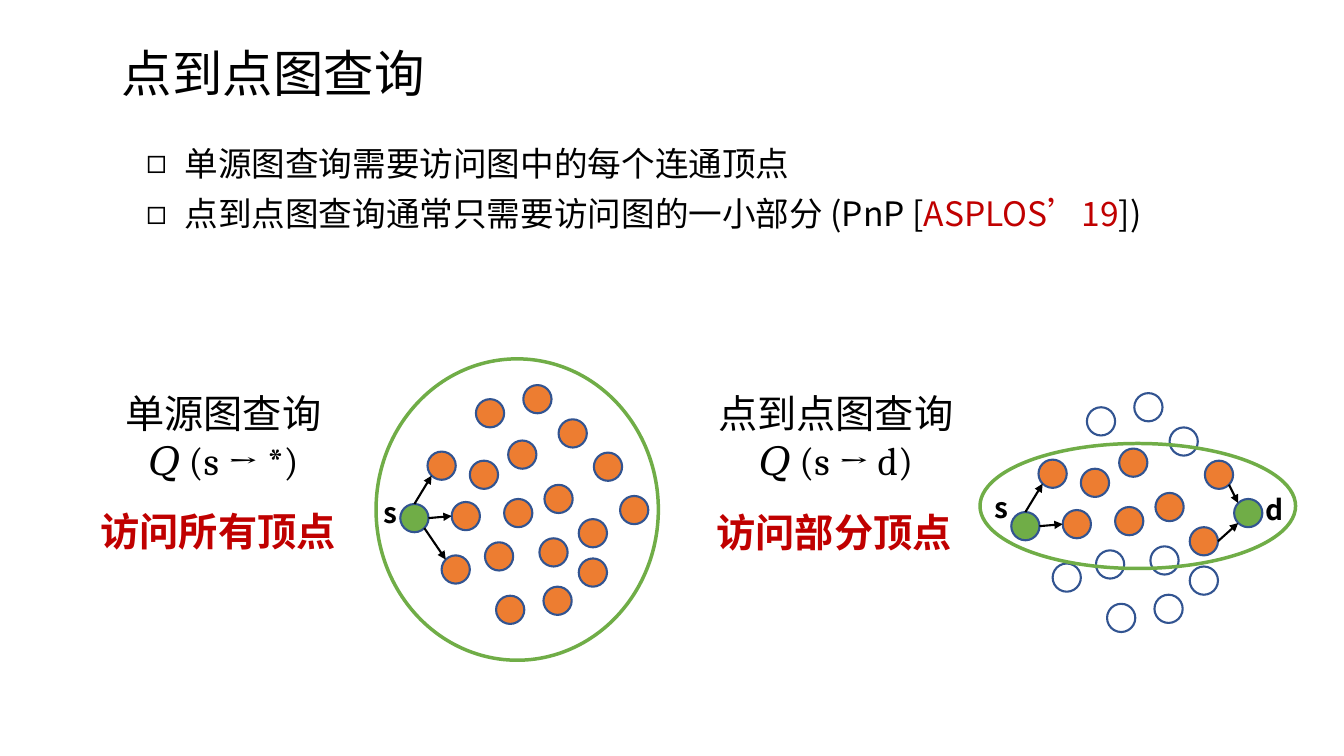
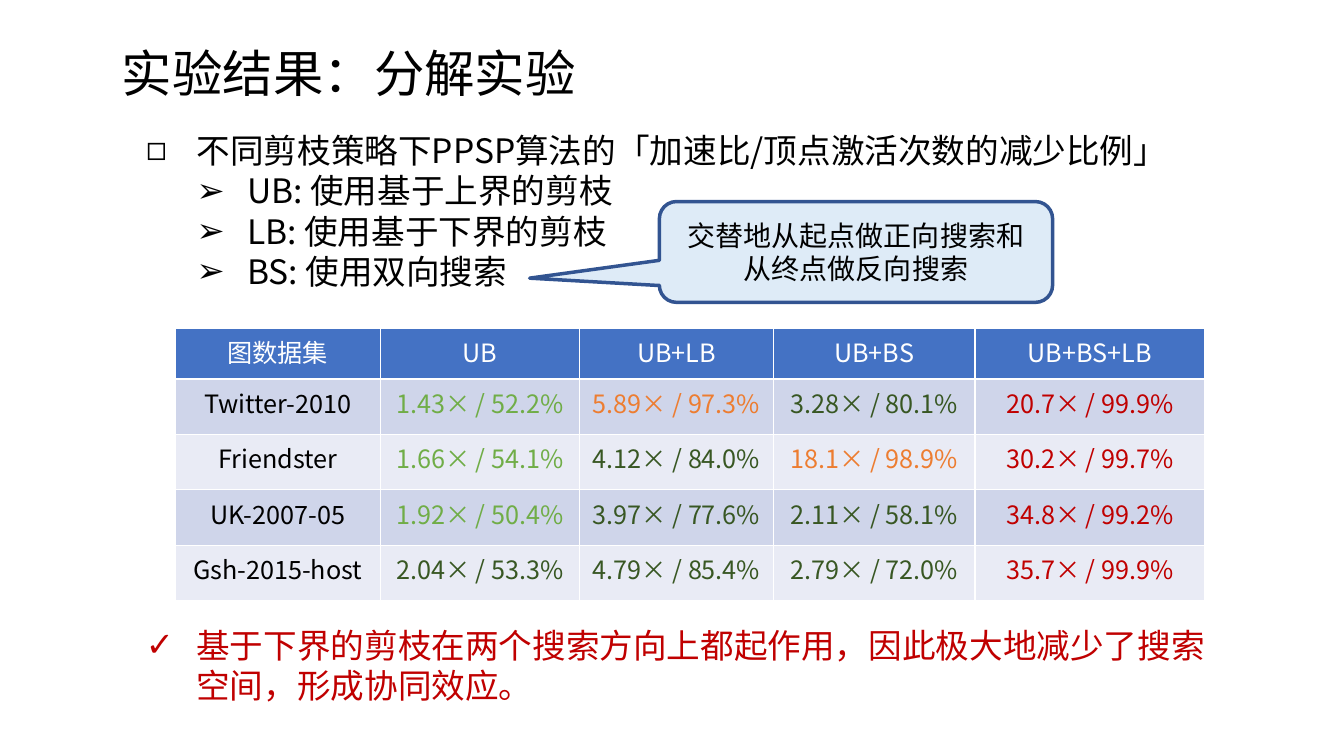
"""Build two slides on point-to-point graph queries and their pruning results."""
from dataclasses import dataclass
from math import cos, radians, sin
from typing import NamedTuple

from lxml.etree import SubElement
from pptx import Presentation
from pptx.dml.color import RGBColor
from pptx.enum.shapes import MSO_CONNECTOR, MSO_SHAPE
from pptx.enum.text import MSO_ANCHOR, MSO_AUTO_SIZE, PP_ALIGN
from pptx.oxml.ns import qn
from pptx.util import Emu, Inches, Pt

BLACK = RGBColor(0x00, 0x00, 0x00)
WHITE = RGBColor(0xFF, 0xFF, 0xFF)
RED = RGBColor(0xC0, 0x00, 0x00)
ORANGE = RGBColor(0xED, 0x7D, 0x31)
GREEN = RGBColor(0x70, 0xAD, 0x47)
DARK_GREEN = RGBColor(0x38, 0x57, 0x23)
NAVY = RGBColor(0x32, 0x54, 0x91)
BLUE = RGBColor(0x44, 0x72, 0xC4)
PALE_BLUE = RGBColor(0xDE, 0xEB, 0xF7)
BANDS = (RGBColor(0xCF, 0xD5, 0xEA), RGBColor(0xE9, 0xEB, 0xF5))

SANS = "Noto Sans CJK SC"
SERIF = "Cambria"
CELL = Inches(0.1)
DIAMETER = 2.8


class Box(NamedTuple):
    left: float
    top: float
    width: float
    height: float


class Point(NamedTuple):
    column: float
    row: float


class Edge(NamedTuple):
    start: Point
    start_angle: float
    end: Point
    end_angle: float


@dataclass(frozen=True)
class Span:
    text: str
    color: RGBColor = BLACK
    size: float = 24
    font: str = SANS
    bold: bool = False


@dataclass(frozen=True)
class Para:
    spans: tuple[Span, ...]
    align: PP_ALIGN = PP_ALIGN.LEFT
    bullet: str = ""
    level: int = 0
    indent: float = 0
    hanging: float = 0
    line_spacing: float = 1.0
    space_before: float = 0


@dataclass(frozen=True)
class Query:
    heading: str
    formula: str
    verdict: str
    heading_box: Box
    verdict_box: Box
    shift: Point
    skipped: frozenset[int]
    outline: Box
    label: Point
    edges: tuple[Edge, ...]
    target: Point | None = None


class Result(NamedTuple):
    dataset: str
    values: tuple[str, str, str, str]
    colors: tuple[RGBColor, RGBColor, RGBColor, RGBColor]


SOURCE = Point(39.7, 50)
RIM = Point(61.5, 49.2)
VERTICES = (
    Point(47.2, 39.6), Point(46.6, 45.7), Point(55.4, 41.6), Point(50.4, 43.7),
    Point(54, 48.1), Point(50, 49.5), Point(57.4, 51.5), Point(53.5, 53.4),
    Point(58.9, 44.9), Point(42.4, 44.8), Point(48.1, 53.8), Point(44.8, 49.8),
    Point(43.8, 55.1), Point(49.2, 59.1), Point(57.4, 55.4), Point(51.9, 38.2),
    Point(53.9, 58.2), RIM,
)
UPPER, MIDDLE, LOWER = VERTICES[9], VERTICES[11], VERTICES[12]
NEAR_UPPER, NEAR_LOWER = VERTICES[8], VERTICES[6]
TARGET = Point(61.8, 48.7)
SOURCE_EDGES = (Edge(SOURCE, -90, UPPER, 135), Edge(SOURCE, 0, MIDDLE, 180))

QUERIES = (
    Query("单源图查询", "𝑄 (s → *)", "访问所有顶点",
          Box(10.6, 38.1, 23.1, 10.4), Box(9, 49.8, 25.6, 5.7),
          Point(0, 0), frozenset(), Box(37.3, 35.6, 28, 29.9), Point(37.1, 48.7),
          SOURCE_EDGES + (Edge(SOURCE, 45, LOWER, -135),)),
    Query("点到点图查询", "𝑄 (s → d)", "访问部分顶点",
          Box(68.9, 38.1, 28, 10.4), Box(70.1, 49.9, 25.6, 5.7),
          Point(60.6, 0.8), frozenset({0, 2, 7, 10, 12, 13, 14, 15, 16}),
          Box(97.2, 44, 31.3, 12.4), Point(97.7, 48.2),
          SOURCE_EDGES + (Edge(NEAR_UPPER, 45, TARGET, -135),
                          Edge(NEAR_LOWER, 0, TARGET, 135)),
          TARGET),
)

HEADERS = ("图数据集", "UB", "UB+LB", "UB+BS", "UB+BS+LB")
COLUMN_WIDTHS = (20.3, 19.8, 19.2, 20, 22.8)
ROW_HEIGHTS = (5, 5.5, 5.5, 5.5, 5.5)
RESULTS = (
    Result("Twitter-2010", ("1.43× / 52.2%", "5.89× / 97.3%", "3.28× / 80.1%", "20.7× / 99.9%"),
           (GREEN, ORANGE, DARK_GREEN, RED)),
    Result("Friendster", ("1.66× / 54.1%", "4.12× / 84.0%", "18.1× / 98.9%", "30.2× / 99.7%"),
           (GREEN, DARK_GREEN, ORANGE, RED)),
    Result("UK-2007-05", ("1.92× / 50.4%", "3.97× / 77.6%", "2.11× / 58.1%", "34.8× / 99.2%"),
           (GREEN, DARK_GREEN, DARK_GREEN, RED)),
    Result("Gsh-2015-host", ("2.04× / 53.3%", "4.79× / 85.4%", "2.79× / 72.0%", "35.7× / 99.9%"),
           (DARK_GREEN, DARK_GREEN, DARK_GREEN, RED)),
)


def cells(count: float) -> Emu:
    return Emu(round(count * CELL))


def place(shape, box: Box) -> None:
    shape.left, shape.top, shape.width, shape.height = map(cells, box)


def write(frame, paras: tuple[Para, ...]) -> None:
    for index, para in enumerate(paras):
        paragraph = frame.paragraphs[0] if index == 0 else frame.add_paragraph()
        paragraph.alignment = para.align
        paragraph.level = para.level
        paragraph.line_spacing = para.line_spacing
        paragraph.space_before = Pt(para.space_before)
        if para.bullet:
            properties = paragraph._p.get_or_add_pPr()
            properties.set("marL", str(cells(para.indent)))
            properties.set("indent", str(cells(-para.hanging)))
            SubElement(properties, qn("a:buFont"), typeface="Arial")
            SubElement(properties, qn("a:buChar"), char=para.bullet)
        for span in para.spans:
            run = paragraph.add_run()
            run.text = span.text
            run.font.size = Pt(span.size)
            run.font.bold = span.bold
            run.font.color.rgb = span.color
            run.font.name = span.font
            SubElement(run._r.get_or_add_rPr(), qn("a:ea"), typeface=span.font)


def add_text(shapes, box: Box, *paras: Para, wrap: bool = True) -> None:
    textbox = shapes.add_textbox(*map(cells, box))
    textbox.text_frame.word_wrap = wrap
    write(textbox.text_frame, paras)


def add_page(deck, title: str, title_width: float, body_box: Box, body: tuple[Para, ...]):
    page = deck.slides.add_slide(deck.slide_layouts[1])
    heading, content = page.placeholders
    place(heading, Box(11.1, 3.6, title_width, 7.2))
    place(content, body_box)
    for placeholder in (heading, content):
        placeholder.text_frame.auto_size = MSO_AUTO_SIZE.NONE
    heading.text_frame.vertical_anchor = MSO_ANCHOR.BOTTOM
    write(heading.text_frame, (Para((Span(title, size=36),), line_spacing=0.9),))
    write(content.text_frame, body)
    return page


def add_figure(shapes, kind: MSO_SHAPE, box: Box, fill: RGBColor | None,
               line: RGBColor, weight: float):
    figure = shapes.add_shape(kind, *map(cells, box))
    figure.shadow.inherit = False
    if fill is None:
        figure.fill.background()
    else:
        figure.fill.solid()
        figure.fill.fore_color.rgb = fill
    figure.line.color.rgb = line
    figure.line.width = Pt(weight)
    return figure


def add_vertex(shapes, point: Point, fill: RGBColor) -> None:
    add_figure(shapes, MSO_SHAPE.OVAL, Box(*point, DIAMETER, DIAMETER), fill, NAVY, 1.5)


def moved(point: Point, shift: Point) -> Point:
    return Point(point.column + shift.column, point.row + shift.row)


def rim_point(vertex: Point, angle: float) -> Point:
    radius = DIAMETER / 2
    return Point(vertex.column + radius * (1 + cos(radians(angle))),
                 vertex.row + radius * (1 + sin(radians(angle))))


def add_edge(shapes, edge: Edge, shift: Point) -> None:
    start = moved(rim_point(edge.start, edge.start_angle), shift)
    end = moved(rim_point(edge.end, edge.end_angle), shift)
    arrow = shapes.add_connector(MSO_CONNECTOR.STRAIGHT, *map(cells, (*start, *end)))
    arrow.line.color.rgb = BLACK
    arrow.line.width = Pt(1.5)
    SubElement(arrow.line._get_or_add_ln(), qn("a:tailEnd"), type="triangle")
    SubElement(arrow._element.spPr, qn("a:effectLst"))


def add_query(page, query: Query) -> None:
    add_text(page.shapes, query.heading_box,
             Para((Span(query.heading, size=28),), PP_ALIGN.CENTER),
             Para((Span(query.formula, size=28, font=SERIF),), PP_ALIGN.CENTER))
    shapes = page.shapes.add_group_shape().shapes
    for index, vertex in enumerate(VERTICES):
        if vertex == RIM and query.target:
            continue
        fill = WHITE if index in query.skipped else ORANGE
        add_vertex(shapes, moved(vertex, query.shift), fill)
    add_vertex(shapes, moved(SOURCE, query.shift), GREEN)
    add_figure(shapes, MSO_SHAPE.OVAL, query.outline, None, GREEN, 2.5)
    add_text(shapes, Box(*query.label, 3.4, 4.4),
             Para((Span("s", size=20, bold=True),)), wrap=False)
    if query.target:
        target = moved(query.target, query.shift)
        add_vertex(shapes, target, GREEN)
        add_text(shapes, Box(target.column + 2.1, target.row - 1.1, 3.9, 4.4),
                 Para((Span("d", size=20, bold=True),)), wrap=False)
    for edge in query.edges:
        add_edge(shapes, edge, query.shift)
    add_text(page.shapes, query.verdict_box,
             Para((Span(query.verdict, RED, 28, bold=True),)), wrap=False)


def add_query_page(deck) -> None:
    lines = (
        (Span("单源图查询需要访问图中的每个连通顶点"),),
        (Span("点到点图查询通常只需要访问图的一小部分 (PnP ["),
         Span("ASPLOS’19", RED), Span("])")),
    )
    body = tuple(Para(spans, bullet="◻", indent=3.8, hanging=3.8, line_spacing=0.9,
                      space_before=10 if index else 0)
                 for index, spans in enumerate(lines))
    page = add_page(deck, "点到点图查询", 113.4, Box(13.5, 14.1, 114.7, 18.1), body)
    for query in QUERIES:
        add_query(page, query)


def add_results_table(page) -> None:
    box = Box(17.4, 32.6, sum(COLUMN_WIDTHS), sum(ROW_HEIGHTS))
    table = page.shapes.add_table(len(ROW_HEIGHTS), len(HEADERS), *map(cells, box)).table
    for column, width in zip(table.columns, COLUMN_WIDTHS):
        column.width = cells(width)
    for row, height in zip(table.rows, ROW_HEIGHTS):
        row.height = cells(height)
    rows = [(HEADERS, (WHITE,) * len(HEADERS), BLUE)]
    for index, result in enumerate(RESULTS):
        rows.append(((result.dataset, *result.values), (BLACK, *result.colors),
                     BANDS[index % len(BANDS)]))
    for row, (texts, colors, fill) in zip(table.rows, rows):
        for cell, text, color in zip(row.cells, texts, colors):
            cell.fill.solid()
            cell.fill.fore_color.rgb = fill
            write(cell.text_frame, (Para((Span(text, color, 18),), PP_ALIGN.CENTER),))


def add_results_page(deck) -> None:
    topic = Para((Span("不同剪枝策略下PPSP算法的「加速比/顶点激活次数的减少比例」"),),
                 bullet="◻", indent=5, hanging=5)
    strategies = tuple(Para((Span(text),), bullet="➢", level=1, indent=10, hanging=5)
                       for text in ("UB: 使用基于上界的剪枝", "LB: 使用基于下界的剪枝",
                                    "BS: 使用双向搜索"))
    page = add_page(deck, "实验结果：分解实验", 122.2, Box(13.5, 12.4, 107.9, 17.2),
                    (topic, *strategies))
    add_results_table(page)
    conclusion = "基于下界的剪枝在两个搜索方向上都起作用，因此极大地减少了搜索空间，形成协同效应。"
    add_text(page.shapes, Box(13.5, 61.5, 109, 9.1),
             Para((Span(conclusion, RED),), bullet="✓", indent=5, hanging=5))
    callout = add_figure(page.shapes, MSO_SHAPE.ROUNDED_RECTANGULAR_CALLOUT,
                         Box(65.4, 20, 39, 10), PALE_BLUE, NAVY, 2.5)
    for index, value in enumerate((-0.83, 0.26, 0.17)):
        callout.adjustments[index] = value
    callout.text_frame.word_wrap = True
    callout.text_frame.vertical_anchor = MSO_ANCHOR.MIDDLE
    write(callout.text_frame, (Para((Span("交替地从起点做正向搜索和从终点做反向搜索", size=20),),
                                    PP_ALIGN.CENTER),))


def main() -> None:
    deck = Presentation()
    deck.slide_width, deck.slide_height = Inches(13.33), Inches(7.5)
    add_query_page(deck)
    add_results_page(deck)
    deck.save("out.pptx")


if __name__ == "__main__":
    main()
